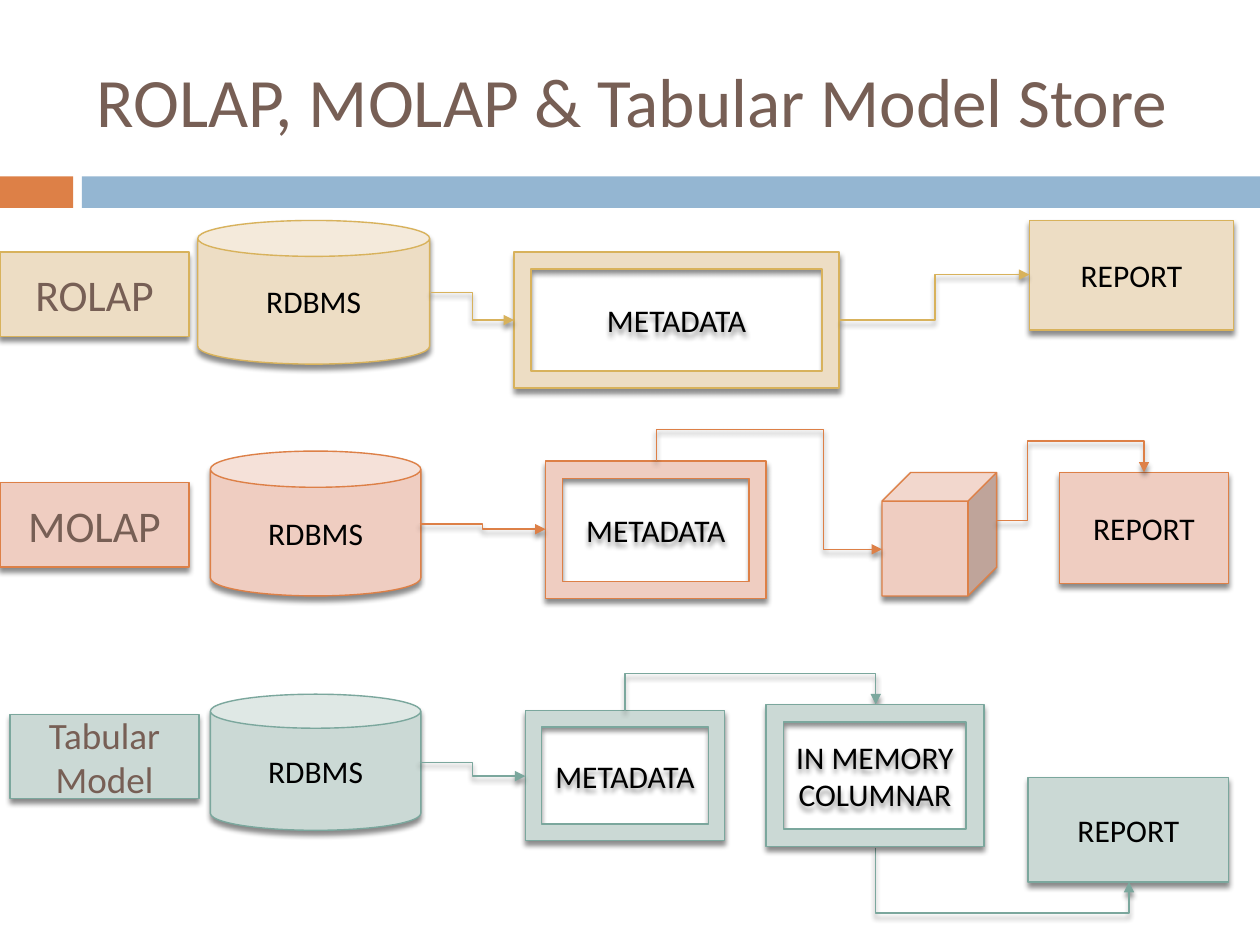
import dataclasses

import pptx
import pptx.dml.color
import pptx.enum.shapes
import pptx.enum.text
import pptx.oxml
import pptx.oxml.ns
import pptx.util

Inches = pptx.util.Inches
Pt = pptx.util.Pt
Form = pptx.enum.shapes.MSO_SHAPE
Align = pptx.enum.text.PP_ALIGN
NS = pptx.oxml.ns.nsdecls("a")


@dataclasses.dataclass(frozen=True)
class Theme:
    """Colours, type sizes and line width of the slide."""
    font: str = "Calibri"
    ink: str = "000000"
    brown: str = "775F55"
    blue: str = "94B6D2"
    orange: str = "DD8047"
    gold: tuple = ("EDDDC4", "D8B25C")
    coral: tuple = ("EFCDC1", "DD8047")
    sage: tuple = ("CBD9D5", "7BA79D")
    title: float = 39.6
    label: float = 25
    small: float = 21.2
    body: float = 18
    line: float = 0.79


THEME = Theme()


def color(code):
    """Turn a hex code into a colour."""
    return pptx.dml.color.RGBColor.from_string(code)


def shade(props):
    """Give shape properties a soft shadow below."""
    for old in props.findall(pptx.oxml.ns.qn("a:effectLst")):
        props.remove(old)
    props.append(pptx.oxml.parse_xml(
        f'<a:effectLst {NS}><a:outerShdw blurRad="{Pt(3)}" dist="{Pt(2.4)}" '
        'dir="5400000" algn="ctr" rotWithShape="0"><a:srgbClr val="000000">'
        '<a:alpha val="45000"/></a:srgbClr></a:outerShdw></a:effectLst>'))


def write(frame, text, size, ink, align):
    """Fill a text frame, one paragraph for each line."""
    frame.word_wrap = True
    frame.vertical_anchor = pptx.enum.text.MSO_ANCHOR.MIDDLE
    frame.text = text
    for para in frame.paragraphs:
        para.alignment = align
        para.font.name = THEME.font
        para.font.size = Pt(size)
        para.font.color.rgb = color(ink)


def part(slide, box, form, at, tone, text="", size=THEME.body, ink=THEME.ink):
    """Draw a shaded shape at a place within the box."""
    left, top, width, height = at
    shape = slide.shapes.add_shape(
        form, Inches(box[0] + left), Inches(box[1] + top), Inches(width), Inches(height))
    shape.shadow.inherit = False
    shape.fill.solid()
    shape.fill.fore_color.rgb = color(tone[0])
    shape.line.color.rgb = color(tone[1])
    shape.line.width = Pt(THEME.line)
    shade(shape._element.spPr)
    if text:
        write(shape.text_frame, text, size, ink, Align.CENTER)


def link(slide, box, start, end, tone, bends=(0.5,), turn=0):
    """Draw an elbow arrow within the box, turned by quarters."""
    mid_x, mid_y = ((a + b) / 2 for a, b in zip(start, end))
    off_x, off_y = start[0] - mid_x, start[1] - mid_y
    for _ in range(turn):
        off_x, off_y = off_y, -off_x
    mid_x, mid_y = mid_x + box[0], mid_y + box[1]
    line = slide.shapes.add_connector(
        pptx.enum.shapes.MSO_CONNECTOR.ELBOW,
        Inches(mid_x + off_x), Inches(mid_y + off_y),
        Inches(mid_x - off_x), Inches(mid_y - off_y))
    line.line.color.rgb = color(tone[1])
    line.line.width = Pt(THEME.line)
    props = line._element.spPr
    if turn:
        props.find(pptx.oxml.ns.qn("a:xfrm")).set("rot", str(turn * 5400000))
    shape = props.find(pptx.oxml.ns.qn("a:prstGeom"))
    guides = "".join(f'<a:gd name="adj{n}" fmla="val {round(bend * 100000)}"/>'
                     for n, bend in enumerate(bends, 1))
    shape.getparent().replace(shape, pptx.oxml.parse_xml(
        f'<a:prstGeom {NS} prst="bentConnector{len(bends) + 2}">'
        f'<a:avLst>{guides}</a:avLst></a:prstGeom>'))
    line.line._get_or_add_ln().append(
        pptx.oxml.parse_xml(f'<a:tailEnd {NS} type="triangle"/>'))
    shade(props)


def header(slide, box):
    """Place the title and the two bars beneath it."""
    left, top, width, _ = box
    title = slide.shapes.add_textbox(
        Inches(left + 0.67), Inches(top + 0.25), Inches(8.92), Inches(1.08))
    write(title.text_frame, "ROLAP, MOLAP & Tabular Model Store",
          THEME.title, THEME.brown, Align.LEFT)
    for start, end, tone in ((0, 0.58, THEME.orange), (0.65, width, THEME.blue)):
        bar = slide.shapes.add_shape(
            Form.RECTANGLE, Inches(left + start), Inches(top + 1.4),
            Inches(end - start), Inches(0.25))
        bar.shadow.inherit = False
        bar.fill.solid()
        bar.fill.fore_color.rgb = color(tone)
        bar.line.fill.background()


def rolap(slide, box):
    """Place the ROLAP flow."""
    tone = THEME.gold
    part(slide, box, Form.CAN, (1.57, 0, 1.84, 1.14), tone, "RDBMS")
    part(slide, box, Form.FRAME, (4.08, 0.25, 2.58, 1.08), tone, "METADATA")
    part(slide, box, Form.RECTANGLE, (8.17, 0, 1.62, 0.87), tone, "REPORT")
    link(slide, box, (6.67, 0.79), (8.17, 0.43), tone)
    link(slide, box, (3.42, 0.57), (4.08, 0.79), tone)
    part(slide, box, Form.RECTANGLE, (0, 0.25, 1.5, 0.67), tone,
         "ROLAP", THEME.label, THEME.brown)


def molap(slide, box):
    """Place the MOLAP flow with its cube."""
    tone = THEME.coral
    part(slide, box, Form.CAN, (1.67, 0.08, 1.67, 1.15), tone, "RDBMS")
    part(slide, box, Form.FRAME, (4.33, 0.16, 1.75, 1.09), tone, "METADATA")
    part(slide, box, Form.RECTANGLE, (8.41, 0.25, 1.34, 0.88), tone, "REPORT")
    link(slide, box, (3.33, 0.66), (4.33, 0.7), tone)
    part(slide, box, Form.CUBE, (7, 0.25, 0.91, 0.98), tone)
    link(slide, box, (7.91, 0.63), (9.08, 0.25), tone, (0.21, 1.66))
    link(slide, box, (5.21, 0.16), (7, 0.86), tone, (-0.36, 0.74), 3)
    part(slide, box, Form.RECTANGLE, (0, 0.33, 1.5, 0.67), tone,
         "MOLAP", THEME.label, THEME.brown)


def tabular(slide, box):
    """Place the Tabular Model flow with its memory store."""
    tone = THEME.sage
    part(slide, box, Form.CAN, (1.67, 0.01, 1.67, 1.08), tone, "RDBMS")
    part(slide, box, Form.FRAME, (4.17, 0.14, 1.58, 1.03), tone, "METADATA")
    part(slide, box, Form.RECTANGLE, (8.16, 0.67, 1.59, 0.83), tone, "REPORT")
    link(slide, box, (3.33, 0.55), (4.17, 0.66), tone)
    link(slide, box, (6.95, 1.23), (8.96, 1.5), tone, (1.91,), 3)
    link(slide, box, (4.96, 0.14), (6.95, 0.09), tone, (5.85,), 1)
    part(slide, box, Form.FRAME, (6.08, 0.09, 1.73, 1.13), tone, "IN MEMORY\nCOLUMNAR")
    part(slide, box, Form.RECTANGLE, (0.08, 0.17, 1.5, 0.67), tone,
         "Tabular Model", THEME.small, THEME.brown)


def main():
    """Build and save the slide."""
    deck = pptx.Presentation()
    deck.slide_width, deck.slide_height = Inches(10), Inches(7.5)
    slide = deck.slides.add_slide(deck.slide_layouts[6])
    header(slide, (0, 0, 10, 1.65))
    rolap(slide, (0, 1.75, 10, 1.5))
    molap(slide, (0, 3.5, 10, 1.5))
    tabular(slide, (0, 5.5, 10, 1.75))
    deck.save("out.pptx")


if __name__ == "__main__":
    main()
